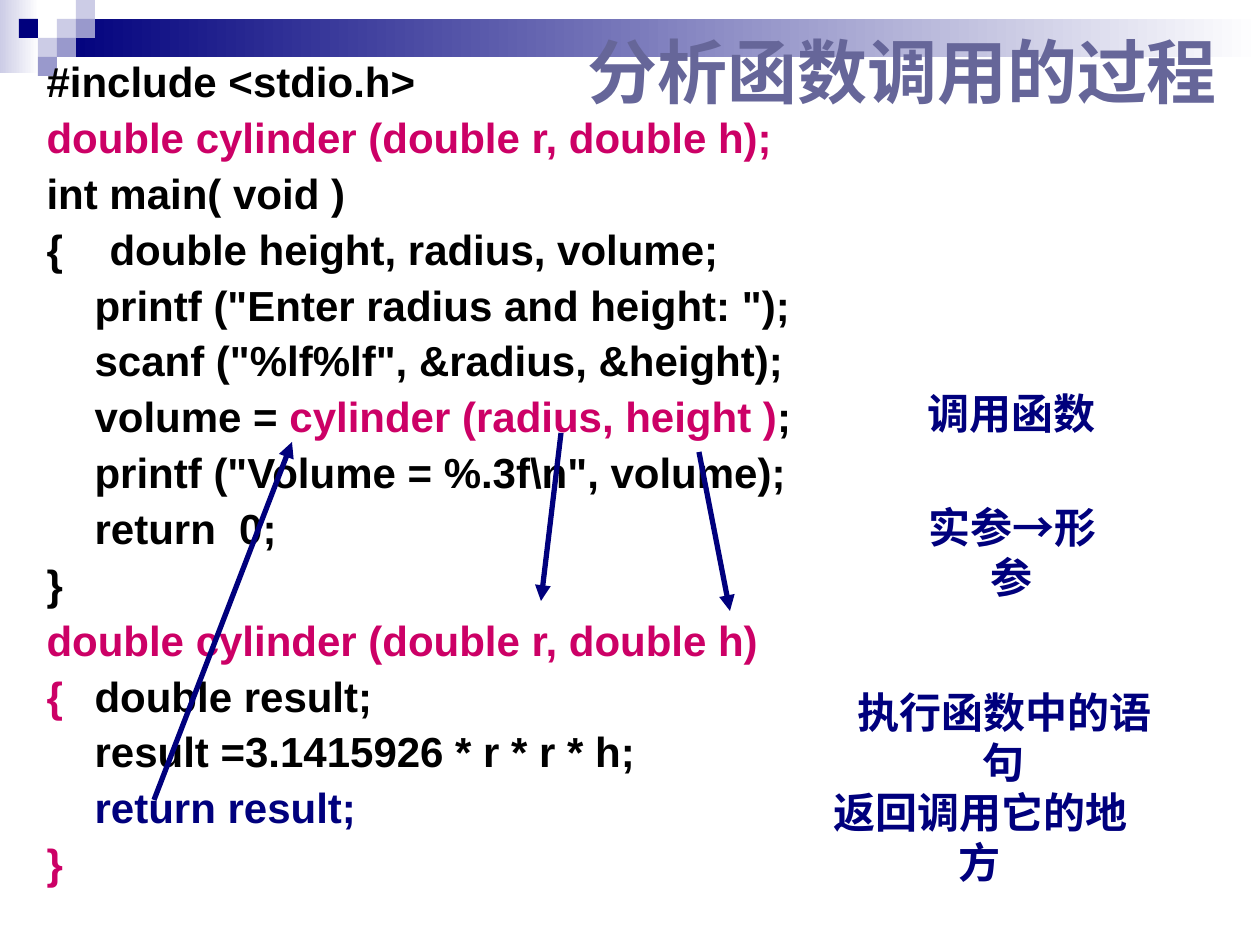
import pptx
import pptx.util
import pptx.dml.color
import pptx.enum.shapes
import pptx.enum.text
import lxml.etree
from dataclasses import dataclass

SCALE = 914400 / 126  # EMU in one px
NS = "{http://schemas.openxmlformats.org/drawingml/2006/main}"


@dataclass(frozen=True)
class Theme:
    font: str = "Arial"
    navy: str = "00007D"
    mid: str = "9999CC"
    pale: str = "CCCCE6"
    white: str = "FFFFFF"
    black: str = "000000"
    pink: str = "CC0066"
    slate: str = "666699"
    head: int = 40
    text: int = 24
    line: int = 3


T = Theme()

# Each code line is a list of (text, colour) runs
CODE = [
    [("#include <stdio.h>", T.black)],
    [("double cylinder (double r, double h);", T.pink)],
    [("int main( void )", T.black)],
    [("{    double height, radius, volume;", T.black)],
    [("\tprintf (\"Enter radius and height: \");", T.black)],
    [("\tscanf (\"%lf%lf\", &radius, &height);", T.black)],
    [("\tvolume =", T.black), (" cylinder (radius, height )", T.pink),
     (";", T.black)],
    [("\tprintf (\"Volume = %.3f\\n\", volume);", T.black)],
    [("\treturn  0;", T.black)],
    [("}", T.black)],
    [("double cylinder (double r, double h)", T.pink)],
    [("{\t", T.pink), ("double result;", T.black)],
    [("\tresult =3.1415926 * r * r * h;", T.black)],
    [("\treturn result;", T.navy)],
    [("}", T.pink)],
]

NOTES = [
    ("调用函数", (915, 381, 193, 63)),
    ("实参→形参", (895, 495, 234, 63)),
    ("执行函数中的语句", (824, 680, 360, 63)),
    ("返回调用它的地方", (800, 780, 360, 63)),
]

ARROWS = [
    (561, 433, 541, 601),  # radius to r
    (699, 452, 730, 611),  # height to h
    (154, 800, 292, 442),  # result back to the call
]

# Corner squares: column, row, colour
TILES = [
    (3, 1, T.pale), (4, 0, T.pale), (4, 1, T.mid), (2, 2, T.pale),
    (1, 1, T.navy), (3, 2, T.mid), (2, 3, T.mid),
]


def px(n):
    return pptx.util.Emu(round(n * SCALE))


def rgb(code):
    return pptx.dml.color.RGBColor.from_string(code)


def apply(item, form):
    for key, val in form.items():
        setattr(item, key, val)


def place(item, box):
    apply(item, dict(zip(("left", "top", "width", "height"), map(px, box))))


def write(para, text, color, size=T.text):
    run = para.add_run()
    run.text = text
    apply(run.font, {"name": T.font, "size": pptx.util.Pt(size), "bold": True})
    run.font.color.rgb = rgb(color)


def block(group, box, *colors):
    """Draw a rectangle, plain with one colour or graded with two."""
    kind = pptx.enum.shapes.MSO_SHAPE.RECTANGLE
    shape = group.shapes.add_shape(kind, *map(px, box))
    shape.shadow.inherit = False
    shape.line.fill.background()
    if len(colors) == 1:
        shape.fill.solid()
        shape.fill.fore_color.rgb = rgb(colors[0])
        return
    shape.fill.gradient()
    shape.fill.gradient_angle = 0
    for stop, color in zip(shape.fill.gradient_stops, colors):
        stop.color.rgb = rgb(color)


def banner(slide):
    group = slide.shapes.add_group_shape()
    block(group, (0, 0, 39, 73), T.pale, T.white)
    block(group, (57, 19, 1203, 38), T.navy, T.white)
    side = 19
    for col, row, color in TILES:
        block(group, (col * side, row * side, side, side), color)
    # Behind the placeholders
    slide.shapes._spTree.insert(2, group._element)


def title(slide, text):
    shape = slide.shapes.title
    place(shape, (575, 0, 685, 141))
    frame = shape.text_frame
    apply(frame, {"vertical_anchor": pptx.enum.text.MSO_ANCHOR.MIDDLE,
                  "auto_size": pptx.enum.text.MSO_AUTO_SIZE.NONE})
    para = frame.paragraphs[0]
    para.alignment = pptx.enum.text.PP_ALIGN.LEFT
    write(para, text, T.slate, T.head)


def listing(slide, lines):
    shape = slide.placeholders[1]
    place(shape, (34, 55, 843, 859))
    frame = shape.text_frame
    frame.auto_size = pptx.enum.text.MSO_AUTO_SIZE.NONE
    for i, runs in enumerate(lines):
        para = frame.add_paragraph() if i else frame.paragraphs[0]
        props = para._p.get_or_add_pPr()
        props.set("marL", str(px(48)))
        props.set("indent", str(px(-48)))
        lxml.etree.SubElement(props, NS + "buNone")
        apply(para, {"line_spacing": 0.9,
                     "space_before": pptx.util.Pt(6 if i else 0)})
        for text, color in runs:
            write(para, text, color)


def note(slide, text, box):
    frame = slide.shapes.add_textbox(*map(px, box)).text_frame
    apply(frame, {"word_wrap": False,
                  "auto_size": pptx.enum.text.MSO_AUTO_SIZE.SHAPE_TO_FIT_TEXT})
    para = frame.paragraphs[0]
    para.alignment = pptx.enum.text.PP_ALIGN.CENTER
    write(para, text, T.navy)


def arrow(slide, ends):
    kind = pptx.enum.shapes.MSO_CONNECTOR.STRAIGHT
    line = slide.shapes.add_connector(kind, *map(px, ends))
    line.line.width = pptx.util.Pt(T.line)
    line.line.color.rgb = rgb(T.navy)
    tail = lxml.etree.SubElement(line.line._get_or_add_ln(), NS + "tailEnd")
    tail.set("type", "triangle")
    lxml.etree.SubElement(line._element.spPr, NS + "effectLst")


def main():
    deck = pptx.Presentation()
    apply(deck, {"slide_width": px(1260), "slide_height": px(945)})
    slide = deck.slides.add_slide(deck.slide_layouts[1])
    banner(slide)
    title(slide, "分析函数调用的过程")
    listing(slide, CODE)
    for text, box in NOTES:
        note(slide, text, box)
    for ends in ARROWS:
        arrow(slide, ends)
    deck.save("out.pptx")


if __name__ == "__main__":
    main()
